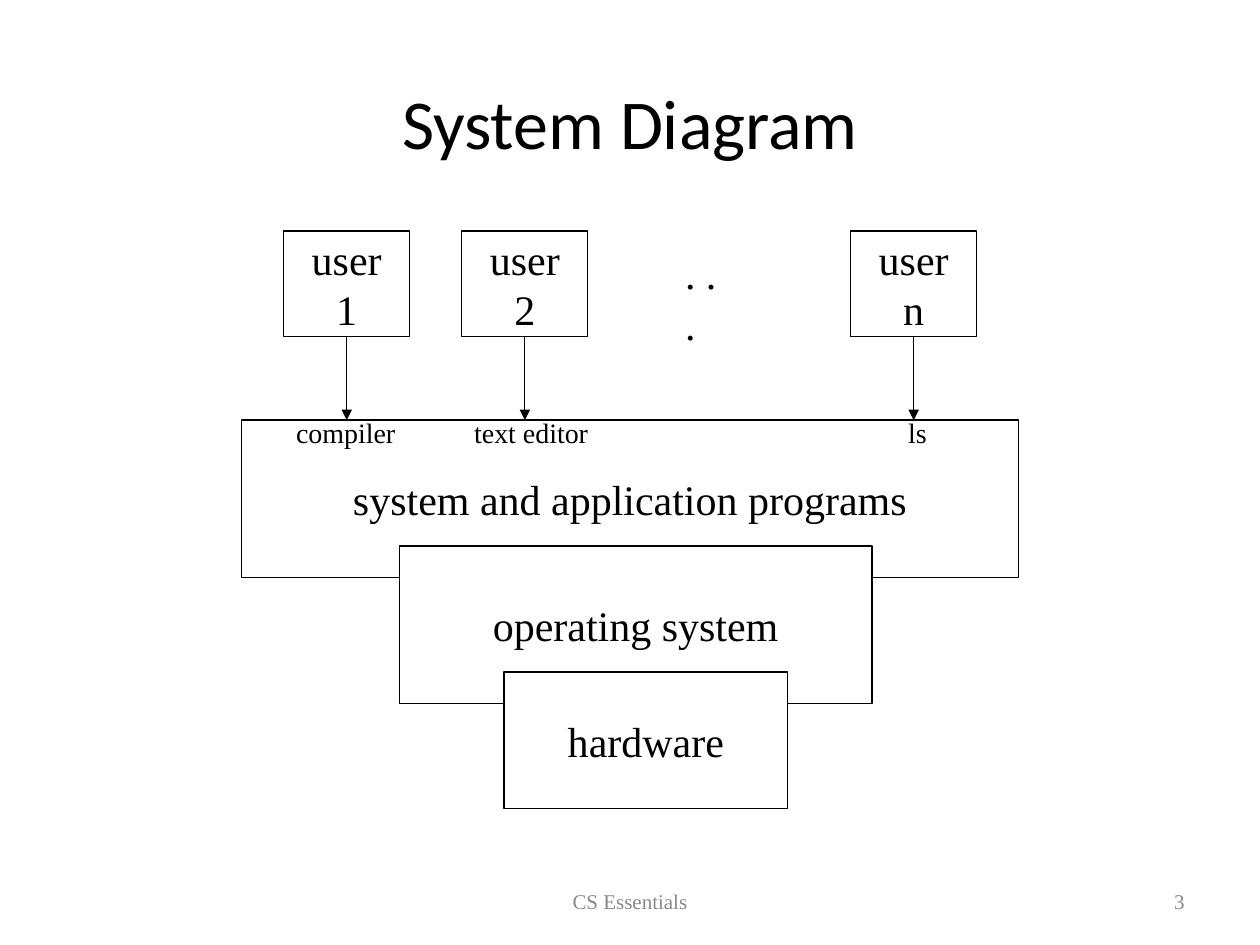
"""Build the System Diagram slide: users, programs, operating system and hardware."""
from lxml.etree import SubElement
from pptx import Presentation
from pptx.dml.color import RGBColor
from pptx.enum.shapes import MSO_CONNECTOR, MSO_SHAPE
from pptx.enum.text import MSO_ANCHOR, MSO_AUTO_SIZE, PP_ALIGN
from pptx.oxml.ns import qn
from pptx.util import Cm, Pt

BLACK = RGBColor(0x00, 0x00, 0x00)
WHITE = RGBColor(0xFF, 0xFF, 0xFF)
GRAY = RGBColor(0x89, 0x89, 0x89)


def write(shape, text, size=24, font="Times New Roman", color=BLACK,
          align=PP_ALIGN.CENTER, anchor=MSO_ANCHOR.MIDDLE, wrap=False, grow=False):
    frame = shape.text_frame
    frame.text = text
    frame.word_wrap = wrap
    frame.vertical_anchor = anchor
    frame.auto_size = MSO_AUTO_SIZE.SHAPE_TO_FIT_TEXT if grow else MSO_AUTO_SIZE.NONE
    for paragraph in frame.paragraphs:
        paragraph.alignment = align
        paragraph.font.size = Pt(size)
        paragraph.font.name = font
        paragraph.font.color.rgb = color


def add_block(left, top, width, height, text):
    block = slide.shapes.add_shape(
        MSO_SHAPE.RECTANGLE, Cm(left), Cm(top), Cm(width), Cm(height))
    block.shadow.inherit = False
    block.fill.solid()
    block.fill.fore_color.rgb = WHITE
    block.line.color.rgb = BLACK
    block.line.width = Pt(0.75)
    write(block, text)


deck = Presentation()
deck.slide_width, deck.slide_height = Cm(25.4), Cm(19.05)
slide = deck.slides.add_slide(deck.slide_layouts[6])

title = slide.shapes.add_textbox(Cm(1.9), Cm(1.7), Cm(21.6), Cm(1.48))
write(title, "System Diagram", size=40, font="Calibri", wrap=True)

for left, width, text, align in [
    (8.68, 8.04, "CS Essentials", PP_ALIGN.CENTER),
    (18.2, 5.93, "3", PP_ALIGN.RIGHT),
]:
    footer = slide.shapes.add_textbox(Cm(left), Cm(17.65), Cm(width), Cm(1.02))
    write(footer, text, size=12, color=GRAY, align=align, wrap=True)

programs_top = 8.47
layer_step = 2.54
layers = [
    (4.87, 15.66, 3.18, "system and application programs"),
    (8.05, 9.53, 3.18, "operating system"),
    (10.16, 5.72, 2.75, "hardware"),
]
for level, (left, width, height, text) in enumerate(layers):
    add_block(left, programs_top + level * layer_step, width, height, text)

user_top, user_width, user_height = 4.66, 2.54, 2.12
users = [
    (5.72, "1", "compiler", 5.72, 2.51),
    (9.31, "2", "text editor", 9.31, 2.8),
    (17.15, "n", "ls", 18.06, 0.88),
]
for user_left, user_id, program, program_left, program_width in users:
    add_block(user_left, user_top, user_width, user_height, f"user\n{user_id}")

    center = Cm(user_left + user_width / 2)
    arrow = slide.shapes.add_connector(
        MSO_CONNECTOR.STRAIGHT, center, Cm(user_top + user_height), center, Cm(programs_top))
    arrow.line.color.rgb = BLACK
    arrow.line.width = Pt(0.75)
    SubElement(arrow.line._get_or_add_ln(), qn("a:tailEnd"), type="triangle")
    SubElement(arrow._element.spPr, qn("a:effectLst"))

    program_label = slide.shapes.add_textbox(
        Cm(program_left), Cm(8.26), Cm(program_width), Cm(0.94))
    write(program_label, program, size=16, align=PP_ALIGN.LEFT,
          anchor=MSO_ANCHOR.TOP, grow=True)

ellipsis = slide.shapes.add_textbox(Cm(13.56), Cm(4.87), Cm(1.55), Cm(1.27))
write(ellipsis, ". . .", align=PP_ALIGN.LEFT, anchor=MSO_ANCHOR.TOP, grow=True)

deck.save("out.pptx")
